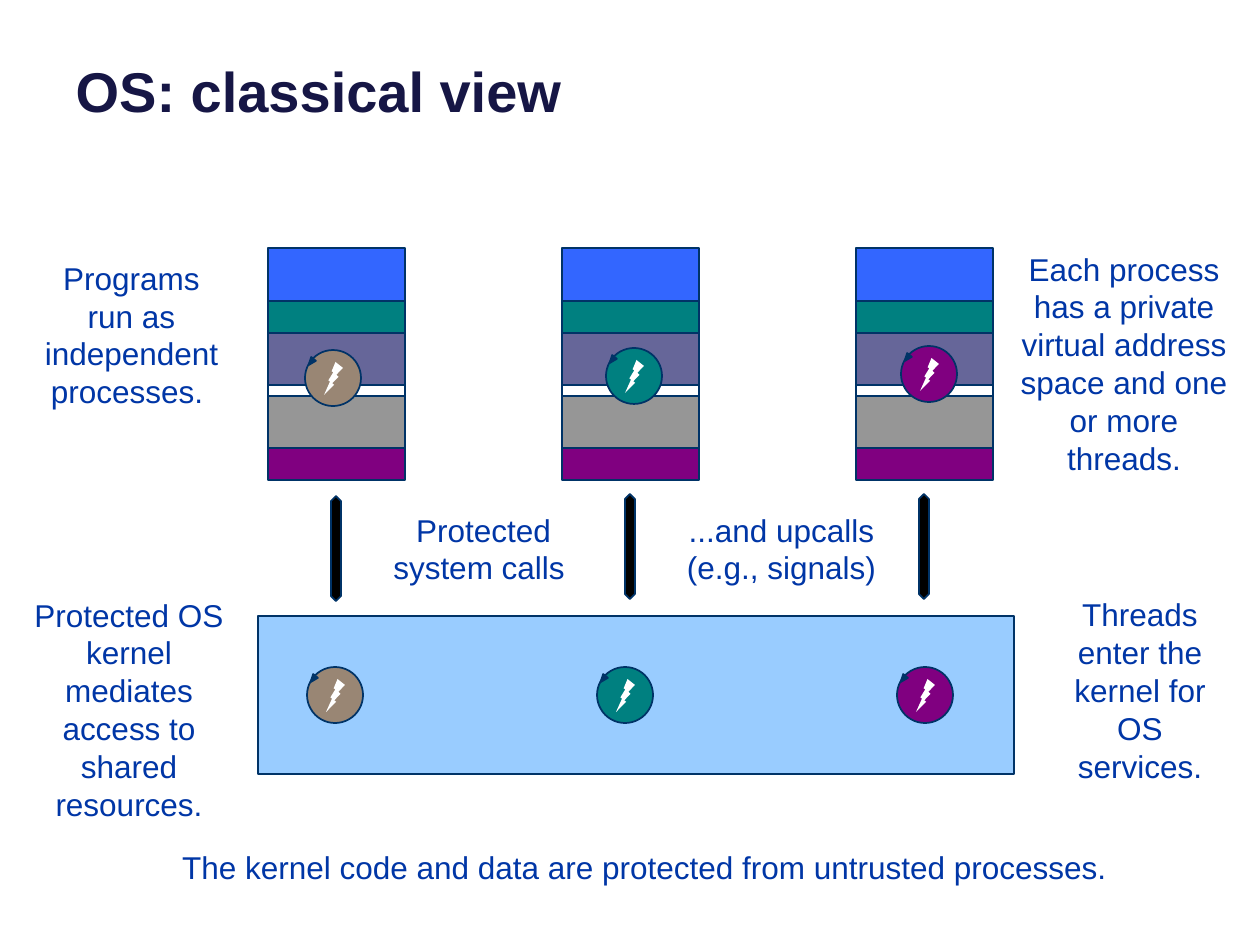
from pptx import Presentation
from pptx.dml.color import RGBColor
from pptx.enum.shapes import MSO_SHAPE
from pptx.enum.text import MSO_ANCHOR, MSO_AUTO_SIZE, PP_ALIGN
from pptx.util import Emu, Pt

SCALE = 914400 / 126
NAVY = "003367"
COLUMNS = [268, 562, 856]
BANDS = [
    (53, "3366FF"), (32, "008080"), (52, "666699"),
    (11, "FFFFFF"), (52, "969696"), (32, "800080"),
]
COLORS = ["998674", "008080", "800080"]
THREADS = [
    [(305, 350), (606, 348), (901, 346)],
    [(307, 667), (597, 667), (897, 667)],
]
ARROWS = [496, 494, 494]
LABELS = [
    ("Programs run as\nindependent processes. ", 32, 252, 199, 165),
    ("Protected system calls ", 357, 504, 253, 89),
    ("...and upcalls (e.g., signals)", 655, 504, 253, 89),
    ("Protected OS kernel mediates access to shared resources.", 20, 588, 218, 242),
    ("Threads enter the kernel for OS services.", 1052, 588, 176, 204),
    ("Each process has a private virtual address space and one or more threads.",
     998, 242, 252, 242),
]
NOTE = ("The kernel code and data are protected from untrusted processes.", 165, 842, 959, 50)


def px(n):
    return Emu(round(n * SCALE))


def color(code):
    return RGBColor.from_string(code)


def place(shape, x, y, w, h):
    shape.left, shape.top, shape.width, shape.height = map(px, (x, y, w, h))


def draw(parent, kind, x, y, w, h, fill, line=NAVY):
    shape = parent.shapes.add_shape(kind, px(x), px(y), px(w), px(h))
    shape.shadow.inherit = False
    shape.fill.solid()
    shape.fill.fore_color.rgb = color(fill)
    if line:
        shape.line.color.rgb = color(line)
        shape.line.width = Pt(1)
    else:
        shape.line.fill.background()
    return shape


def style(font, size, code, bold=False):
    font.name = "Arial"
    font.size = Pt(size)
    font.bold = bold
    font.color.rgb = color(code)


def title(slide, text):
    shape = slide.shapes.title
    place(shape, 63, -84, 1134, 214)
    frame = shape.text_frame
    frame.text = text
    frame.vertical_anchor = MSO_ANCHOR.BOTTOM
    para = frame.paragraphs[0]
    para.alignment = PP_ALIGN.LEFT
    style(para.runs[0].font, 32, "161645", True)


def label(slide, text, x, y, w, h, wrap=True):
    frame = slide.shapes.add_textbox(px(x), px(y), px(w), px(h)).text_frame
    frame.word_wrap = wrap
    frame.auto_size = MSO_AUTO_SIZE.SHAPE_TO_FIT_TEXT
    frame.vertical_anchor = MSO_ANCHOR.MIDDLE
    frame.text = text
    for para in frame.paragraphs:
        para.alignment = PP_ALIGN.CENTER
        for run in para.runs:
            style(run.font, 18, "0036A6")


def process(slide, x, y):
    for h, fill in BANDS:
        draw(slide, MSO_SHAPE.FLOWCHART_PROCESS, x, y, 137, h, fill)
        y += h


def arrow(slide, x, y):
    shape = draw(slide, MSO_SHAPE.UP_DOWN_ARROW, x, y, 10, 105, "000000")
    shape.adjustments[0] = 0.5
    shape.adjustments[1] = 2


def thread(slide, x, y, fill):
    group = slide.shapes.add_group_shape()
    draw(group, MSO_SHAPE.OVAL, x, y, 56, 56, fill)
    bolt = draw(group, MSO_SHAPE.LIGHTNING_BOLT, x + 19, y + 12, 19, 33, "FFFFFF", None)
    bolt._element.spPr.xfrm.set("flipH", "1")
    tip = draw(group, MSO_SHAPE.ISOSCELES_TRIANGLE, x + 3, y + 8, 6, 8, NAVY)
    tip.rotation = 219


def main():
    deck = Presentation()
    deck.slide_width, deck.slide_height = px(1260), px(945)
    slide = deck.slides.add_slide(deck.slide_layouts[5])
    title(slide, "OS: classical view")
    draw(slide, MSO_SHAPE.FLOWCHART_PROCESS, 258, 616, 756, 158, "99CCFF")
    for x, y in zip(COLUMNS, ARROWS):
        process(slide, x, 248)
        arrow(slide, x + 63, y)
    for row in THREADS:
        for (x, y), fill in zip(row, COLORS):
            thread(slide, x, y, fill)
    for item in LABELS:
        label(slide, *item)
    label(slide, *NOTE, wrap=False)
    deck.save("out.pptx")


if __name__ == "__main__":
    main()
